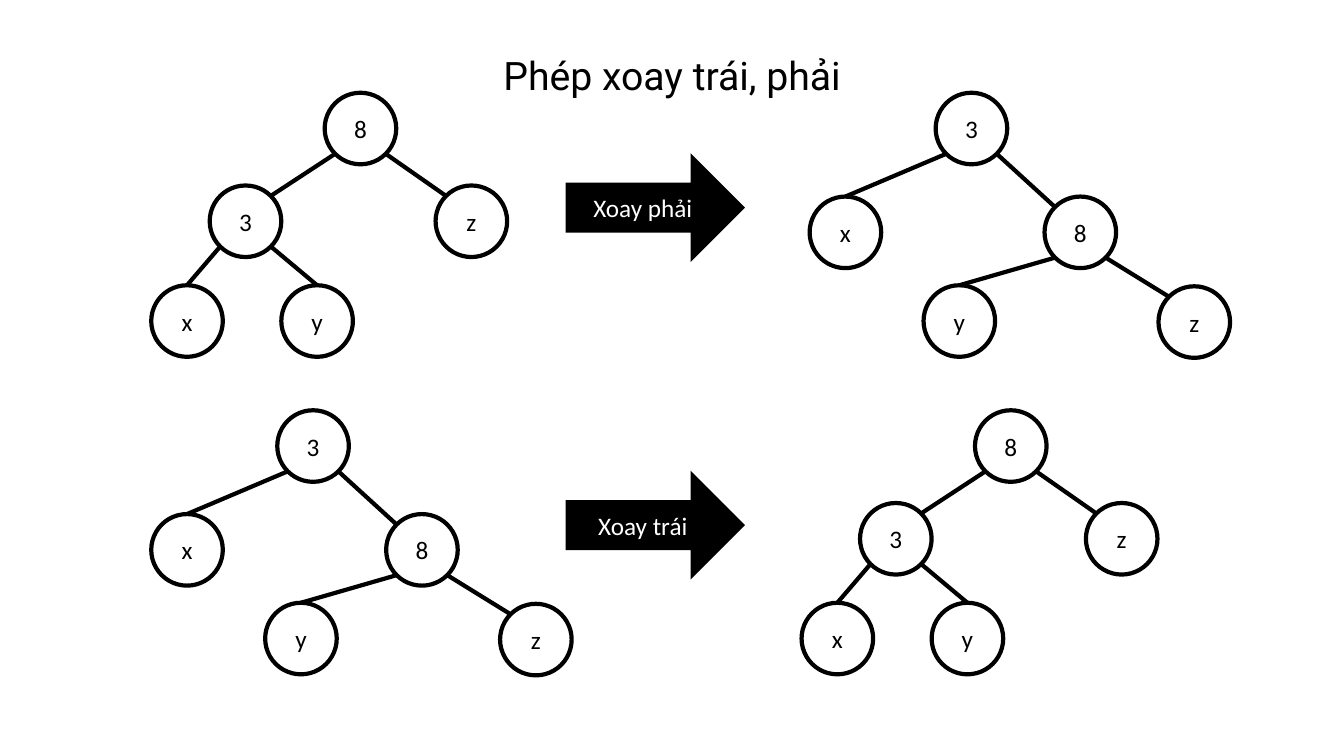
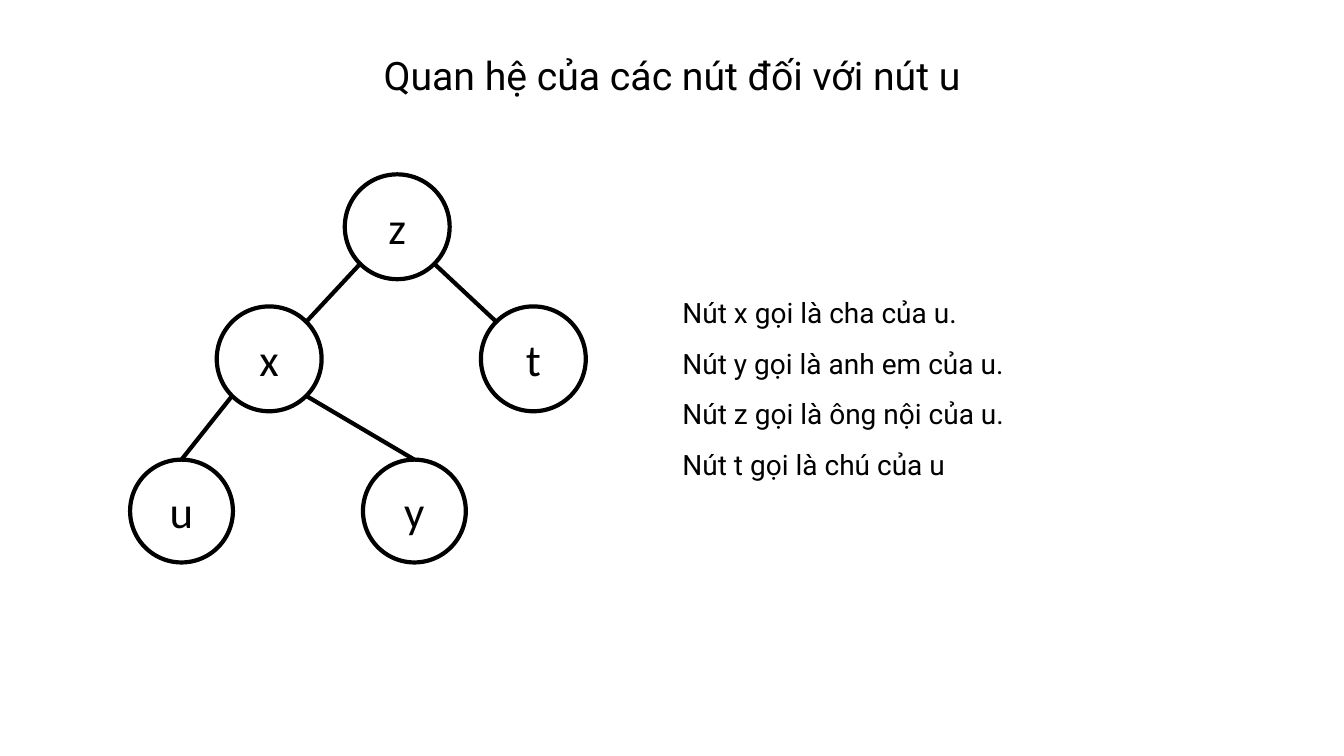
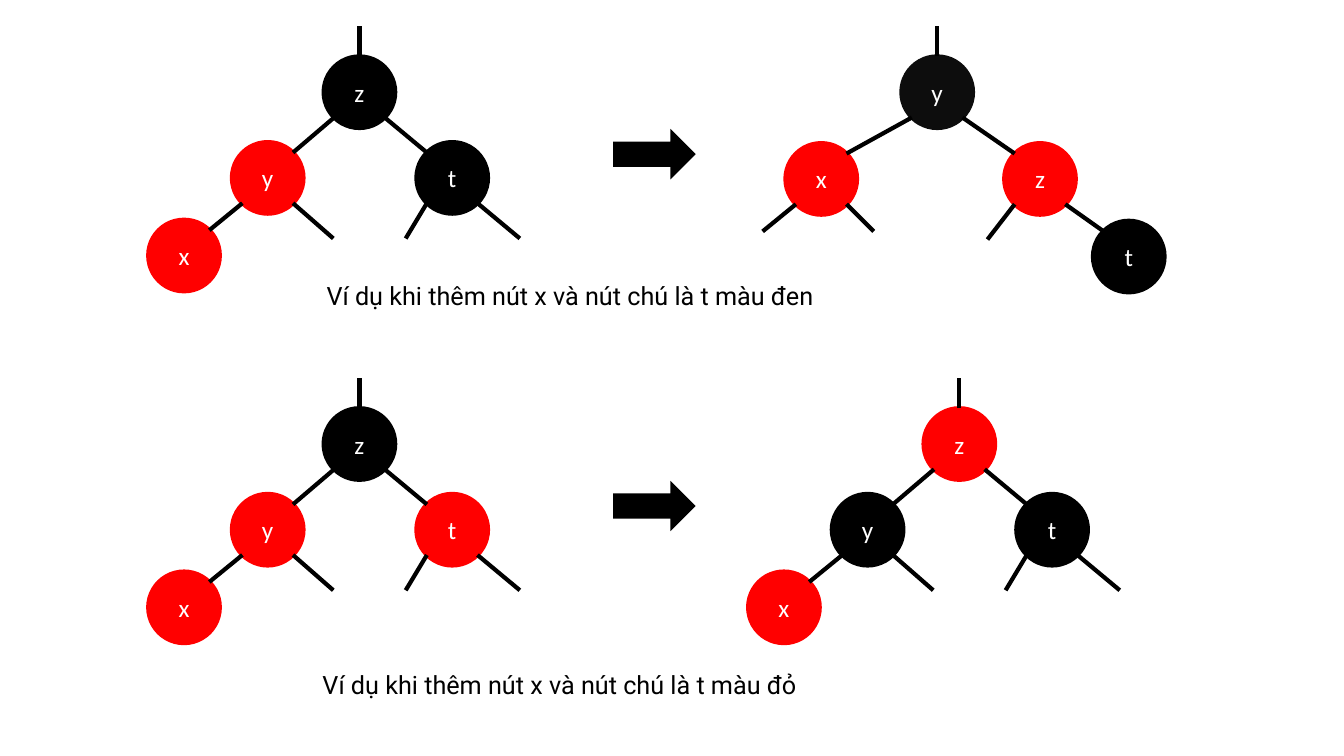
from math import sqrt
from lxml.etree import SubElement
from pptx import Presentation
from pptx.dml.color import RGBColor
from pptx.enum.shapes import MSO_CONNECTOR, MSO_SHAPE
from pptx.enum.text import MSO_ANCHOR, MSO_AUTO_SIZE, PP_ALIGN
from pptx.oxml.ns import qn
from pptx.util import Inches, Pt

BLACK, WHITE, RED, DARK = "000000", "FFFFFF", "FF0000", "0D0D0D"
WIDTH, HEIGHT = 13.33, 7.5
NODE = 0.71
RIM = Pt(3)
TITLE = {"size": 28, "align": PP_ALIGN.CENTER}
NOTES = {"size": 20, "spacing": 1.5}
CAPTION = {"size": 18, "spacing": 1.5}

# label: (parent, x, y, edge ends on top)
HIGH = {
    "8": (None, 1.72, 0, False),
    "z": ("8", 2.82, 0.92, False),
    "3": ("8", 0.58, 0.92, False),
    "x": ("3", 0, 1.91, True),
    "y": ("3", 1.29, 1.91, True),
}
LOW = {
    "3": (None, 1.25, 0, False),
    "8": ("3", 2.33, 1.03, False),
    "z": ("8", 3.46, 1.92, False),
    "x": ("3", 0, 1.03, True),
    "y": ("8", 1.13, 1.91, True),
}
FAMILY = {
    "z": (None, 2.13, 0, False),
    "t": ("z", 3.48, 1.31, False),
    "x": ("z", 0.86, 1.31, False),
    "u": ("x", 0, 2.83, True),
    "y": ("x", 2.31, 2.83, True),
}
ADDED = {
    "z": (None, 1.74, 0, False),
    "t": ("z", 2.66, 0.85, False),
    "y": ("z", 0.83, 0.85, False),
    "x": ("y", 0, 1.62, False),
}
TURNED = {
    "y": (None, 1.15, 0, False),
    "x": ("y", 0, 0.86, False),
    "z": ("y", 2.17, 0.86, False),
    "t": ("z", 3.05, 1.63, False),
}
ADDED_STUBS = [("z", 0, -0.3), ("y", 0.4, 0.35), ("t", 0.42, 0.35), ("t", -0.21, 0.35)]
TURNED_STUBS = [("y", 0, -0.3), ("x", -0.33, 0.27), ("x", 0.27, 0.27), ("z", -0.27, 0.35)]


def paint(color):
    return RGBColor.from_string(color)


def write(frame, lines, size, font="Roboto", color=BLACK, align=PP_ALIGN.LEFT, spacing=1.0):
    style = {"name": font, "size": Pt(size)}
    for index, line in enumerate(lines):
        para = frame.paragraphs[0] if index == 0 else frame.add_paragraph()
        para.alignment = align
        para.line_spacing = spacing
        run = para.add_run()
        run.text = line
        for key, value in style.items():
            setattr(run.font, key, value)
        run.font.color.rgb = paint(color)


def text(slide, box, lines, look):
    frame = slide.shapes.add_textbox(*map(Inches, box)).text_frame
    frame.word_wrap = True
    frame.auto_size = MSO_AUTO_SIZE.SHAPE_TO_FIT_TEXT
    write(frame, lines, **look)


def title(slide, line):
    text(slide, (0, 0.46, WIDTH, 0.57), [line], TITLE)


def block(slide, kind, box, fill, line=None, label="", size=18, color=WHITE):
    shape = slide.shapes.add_shape(kind, *map(Inches, box))
    shape.shadow.inherit = False
    shape.fill.solid()
    shape.fill.fore_color.rgb = paint(fill)
    if line:
        shape.line.color.rgb = paint(line)
        shape.line.width = RIM
    else:
        shape.line.fill.background()
    if label:
        shape.text_frame.vertical_anchor = MSO_ANCHOR.MIDDLE
        write(shape.text_frame, [label], size, "Calibri", color, PP_ALIGN.CENTER)
    return shape


def edge(slide, start, end):
    line = slide.shapes.add_connector(MSO_CONNECTOR.STRAIGHT, *map(Inches, start + end))
    line.line.color.rgb = paint(BLACK)
    line.line.width = RIM
    SubElement(line._element.spPr, qn("a:effectLst"))


def rim(box, across, down):
    left, top, size, _ = box
    reach = size / 2 / sqrt(across ** 2 + down ** 2)
    return left + size / 2 + across * reach, top + size / 2 + down * reach


def tree(slide, left, top, nodes, size=NODE, leaf=NODE, font=18, fills=None, stubs=()):
    boxes = {}
    for label, (_, x, y, on_top) in nodes.items():
        side = leaf if on_top else size
        boxes[label] = box = (left + x, top + y, side, side)
        fill = fills[label] if fills else WHITE
        block(slide, MSO_SHAPE.OVAL, box, fill, fill if fills else BLACK,
              label, font, WHITE if fills else BLACK)
    for label, (parent, x, _, on_top) in nodes.items():
        if parent:
            way = 1 if x > nodes[parent][1] else -1
            edge(slide, rim(boxes[parent], way, 1),
                 rim(boxes[label], 0 if on_top else -way, -1))
    for label, across, down in stubs:
        way = (across > 0) - (across < 0)
        x, y = rim(boxes[label], way, 1 if way else -1)
        edge(slide, (x, y), (x + across, y + down))


def arrow(slide, box, label=""):
    return block(slide, MSO_SHAPE.RIGHT_ARROW, box, BLACK, label=label)


def rotation(slide, top, label, before, after):
    for left, nodes in (before, after):
        tree(slide, left, top, nodes)
    arrow(slide, (5.61, top + 0.6, 1.78, 1.08), label).adjustments[0] = 0.459


def insertion(slide, top, before, after, caption, place):
    for left, nodes, stubs, fills in (before, after):
        tree(slide, left, top, nodes, fills=fills, stubs=stubs)
    arrow(slide, (6.08, top + 0.72, 0.82, 0.5))
    text(slide, (*place, 6.41, 0.5), [caption], CAPTION)


def rotations(slide):
    title(slide, "Phép xoay trái, phải")
    rotation(slide, 0.92, "Xoay phải", (1.5, HIGH), (8.03, LOW))
    rotation(slide, 4.07, "Xoay trái", (1.5, LOW), (7.95, HIGH))


def kinship(slide):
    title(slide, "Quan hệ của các nút đối với nút u")
    tree(slide, 1.29, 1.73, FAMILY, 1.04, 1.02, 32)
    text(slide, (6.67, 2.72, 6.96, 2.06), [
        "Nút x gọi là cha của u.",
        "Nút y gọi là anh em của u.",
        "Nút z gọi là ông nội của u.",
        "Nút t gọi là chú của u",
    ], NOTES)


def insertions(slide):
    insertion(
        slide, 0.56,
        (1.47, ADDED, ADDED_STUBS, {"z": BLACK, "t": BLACK, "y": RED, "x": RED}),
        (7.79, TURNED, TURNED_STUBS, {"y": DARK, "x": RED, "z": RED, "t": BLACK}),
        "Ví dụ khi thêm nút x và nút chú là t màu đen", (3.14, 2.58))
    insertion(
        slide, 4.05,
        (1.47, ADDED, ADDED_STUBS, {"z": BLACK, "t": RED, "y": RED, "x": RED}),
        (7.42, ADDED, ADDED_STUBS, {"z": RED, "t": BLACK, "y": BLACK, "x": RED}),
        "Ví dụ khi thêm nút x và nút chú là t màu đỏ", (3.1, 6.44))


deck = Presentation()
deck.slide_width = Inches(WIDTH)
deck.slide_height = Inches(HEIGHT)
for build in (rotations, kinship, insertions):
    build(deck.slides.add_slide(deck.slide_layouts[6]))
deck.save("out.pptx")
